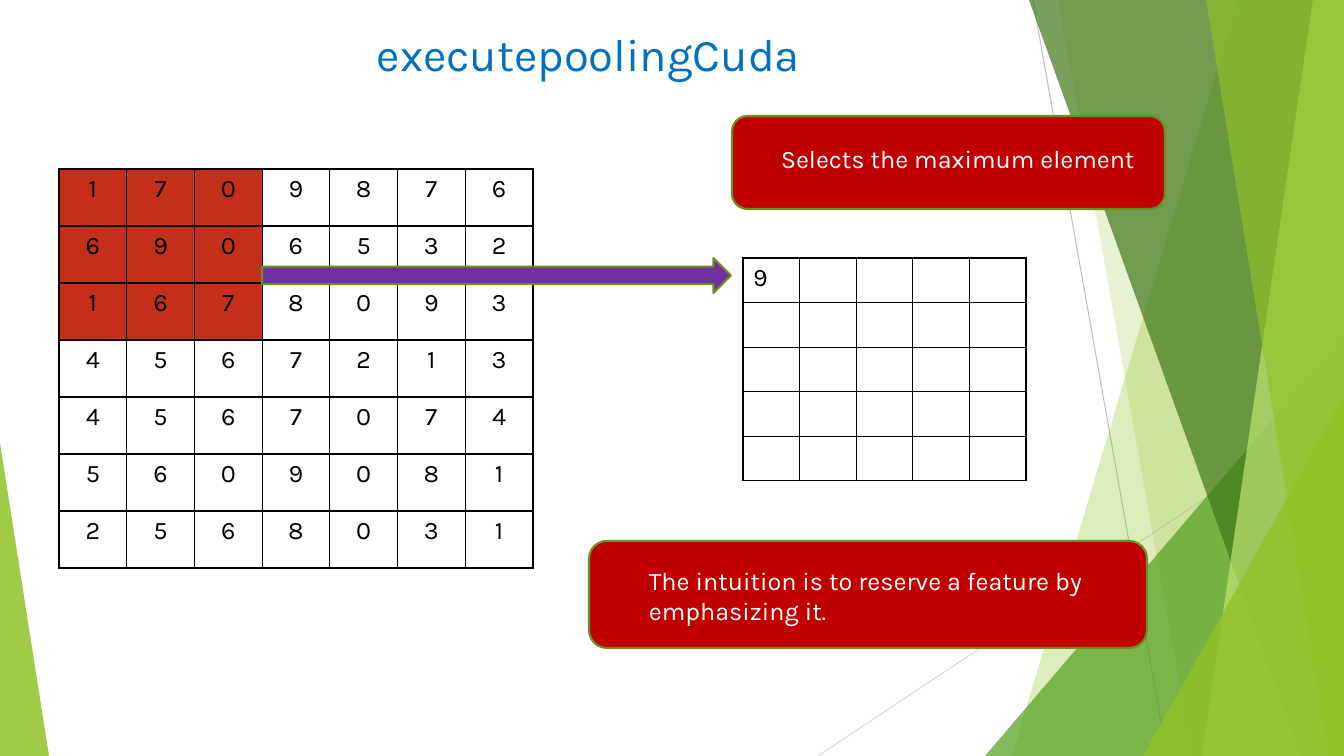
from lxml.etree import SubElement
from pptx import Presentation
from pptx.dml.color import RGBColor
from pptx.enum.shapes import MSO_CONNECTOR, MSO_SHAPE
from pptx.enum.text import MSO_ANCHOR, PP_ALIGN
from pptx.oxml import parse_xml
from pptx.oxml.ns import nsdecls, qn
from pptx.util import Emu, Pt

WIDTH, HEIGHT = 1344, 756
SCALE = 12192000 / WIDTH
COLORS = {
    "title": "0070C0", "black": "000000", "white": "FFFFFF",
    "window": "C42F1A", "box": "C00000", "arrow": "7030A0", "edge": "6B901C",
    "lime": "90C226", "green": "54A021", "dark": "3F7819", "pale": "C0E474",
    "gray": "BFBFBF", "silver": "D9D9D9",
}


def px(*sizes):
    return [Emu(round(size * SCALE)) for size in sizes]


def color(name):
    return RGBColor.from_string(COLORS[name])


class Page:
    def __init__(self, slide, font="Karla", size=18):
        self.slide, self.shapes = slide, slide.shapes
        self.font, self.size = font, size

    def put_text(self, frame, text, tint, size=None, align=PP_ALIGN.LEFT):
        frame.text = text
        para = frame.paragraphs[0]
        para.alignment = align
        para.font.name = self.font
        para.font.size = Pt(size or self.size)
        para.font.color.rgb = color(tint)

    def title(self, text, *place):
        title = self.shapes.title
        title.left, title.top, title.width, title.height = px(*place)
        title.text_frame.vertical_anchor = MSO_ANCHOR.MIDDLE
        self.put_text(title.text_frame, text, "title", 32.4, PP_ALIGN.CENTER)
        # Bring the title in front of the background facets
        title.element.getparent().append(title.element)

    def line(self, tint, *ends):
        line = self.shapes.add_connector(MSO_CONNECTOR.STRAIGHT, *px(*ends))
        line.line.color.rgb = color(tint)
        line.line.width = Pt(0.75)
        SubElement(line.element.spPr, qn("a:effectLst"))

    def paint(self, shape, tint, alpha=100, edge=None):
        shape.shadow.inherit = False
        shape.fill.solid()
        shape.fill.fore_color.rgb = color(tint)
        if alpha < 100:
            rgb = shape.element.spPr.find(".//" + qn("a:srgbClr"))
            SubElement(rgb, qn("a:alpha"), val=str(alpha * 1000))
        if edge:
            shape.line.color.rgb = color(edge)
            shape.line.width = Pt(1.5)
        else:
            shape.line.fill.background()

    def facet(self, tint, alpha, top, foot):
        """Fill from a slanted left edge to the right side of the slide."""
        outline = self.shapes.build_freeform(top, 0, scale=SCALE)
        outline.add_line_segments([(WIDTH, 0), (WIDTH, HEIGHT), (foot, HEIGHT)])
        self.paint(outline.convert_to_shape(), tint, alpha)

    def wedge(self, tint, alpha, peak, *place):
        shape = self.shapes.add_shape(MSO_SHAPE.ISOSCELES_TRIANGLE, *px(*place))
        shape.adjustments[0] = peak
        self.paint(shape, tint, alpha)

    def block(self, kind, tint, *place):
        shape = self.shapes.add_shape(kind, *px(*place))
        self.paint(shape, tint, edge="edge")

    def label(self, text, *place):
        frame = self.shapes.add_textbox(*px(*place)).text_frame
        frame.word_wrap = True
        self.put_text(frame, text, "white")

    def border(self, cell):
        props = cell._tc.get_or_add_tcPr()
        for spot, side in enumerate("LRTB"):
            props.insert(spot, parse_xml(
                f'<a:ln{side} {nsdecls("a")} w="12700"><a:solidFill>'
                f'<a:srgbClr val="{COLORS["black"]}"/></a:solidFill></a:ln{side}>'))

    def grid(self, rows, place, align, window=0):
        """Draw a bordered table; window is the side of its filled corner."""
        table = self.shapes.add_table(len(rows), len(rows[0]), *px(*place)).table
        table.first_row = table.horz_banding = False
        for r, row in enumerate(rows):
            for c, value in enumerate(row):
                cell = table.cell(r, c)
                self.put_text(cell.text_frame, value, "black", align=align)
                if max(r, c) < window:
                    cell.fill.solid()
                    cell.fill.fore_color.rgb = color("window")
                else:
                    cell.fill.background()
                self.border(cell)


def main():
    deck = Presentation()
    deck.slide_width, deck.slide_height = px(WIDTH, HEIGHT)
    page = Page(deck.slides.add_slide(deck.slide_layouts[5]))

    page.line("gray", 1033, 0, 1167, HEIGHT)
    page.line("silver", WIDTH, 406, 818, HEIGHT)
    page.facet("lime", 30, 1238, 1012)
    page.facet("lime", 20, 1058, 1192)
    page.wedge("green", 72, 1, 985, 336, 359, 420)
    page.facet("dark", 70, 1029, 1301)
    page.facet("pale", 70, 1313, 1202)
    page.facet("lime", 65, 1206, 1329)
    page.wedge("lime", 80, 1, 1143, 396, 201, 360)
    page.wedge("lime", 85, 0, 0, 443, 49, 313)

    page.title("executepoolingCuda", 115, 17, 947, 73)
    source = ["1709876", "6906532", "1678093", "4567213",
              "4567074", "5609081", "2568031"]
    page.grid(source, (59, 169, 474, 399), PP_ALIGN.CENTER, window=3)
    pooled = [["9"] + [""] * 4] + [[""] * 5] * 4
    page.grid(pooled, (743, 258, 283, 223), PP_ALIGN.LEFT)
    page.block(MSO_SHAPE.RIGHT_ARROW, "arrow", 262, 258, 469, 35)
    page.block(MSO_SHAPE.ROUNDED_RECTANGLE, "box", 732, 116, 433, 93)
    page.label("Selects the maximum element", 771, 138, 429, 72)
    page.block(MSO_SHAPE.ROUNDED_RECTANGLE, "box", 589, 541, 558, 107)
    page.label("The intuition is to reserve a feature by emphasizing it.",
               639, 560, 553, 102)
    deck.save("out.pptx")


if __name__ == "__main__":
    main()
